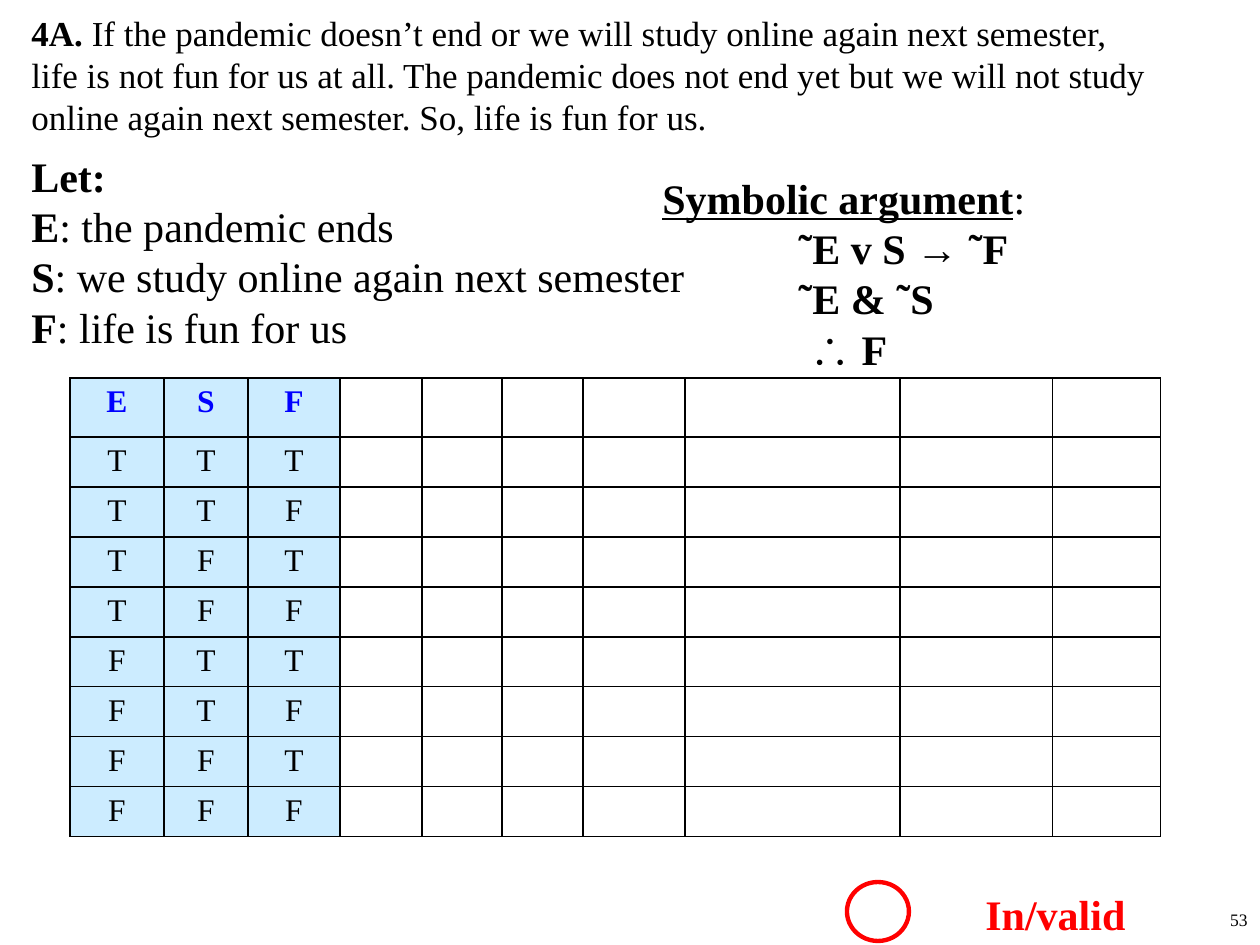
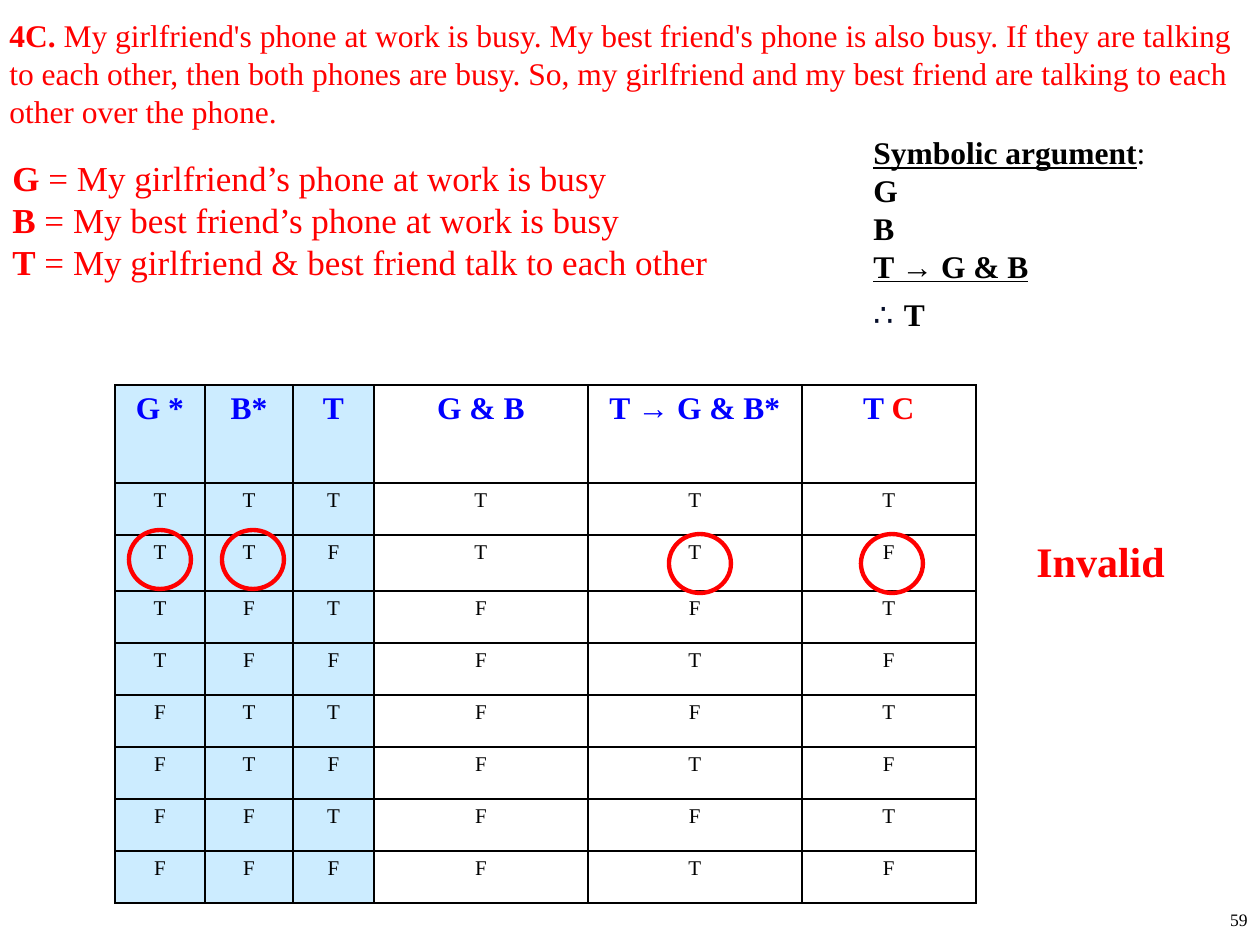
from itertools import product

from lxml import etree
from pptx import Presentation
from pptx import util as u
from pptx.dml.color import RGBColor
from pptx.enum import shapes, text
from pptx.oxml.ns import qn

PX = 7257  # EMU in one px, at 126 px to the inch
FONT = "Times New Roman"
BLACK, RED, BLUE, PALE_BLUE = "000000", "FF0000", "0000FF", "CCECFF"
colour = RGBColor.from_string


def add_runs(paragraph, runs, size, ink):
    """Each run is (text, flags) or (text, flags, overrides); flags are b and u."""
    for words, flags, *overrides in runs:
        style = {"size": size, "ink": ink, "font": FONT}
        for override in overrides:
            style.update(override)
        run = paragraph.add_run()
        run.text = words
        run.font.name = style["font"]
        run.font.size = u.Pt(style["size"])
        run.font.color.rgb = colour(style["ink"])
        run.font.bold = "b" in flags
        run.font.underline = "u" in flags


def add_text(slide, box, lines, size, ink=BLACK, align=text.PP_ALIGN.LEFT):
    """Each line is (indent in px, runs)."""
    frame = slide.shapes.add_textbox(*(length * PX for length in box)).text_frame
    frame.word_wrap = True
    for number, (indent, runs) in enumerate(lines):
        paragraph = frame.add_paragraph() if number else frame.paragraphs[0]
        paragraph.alignment = align
        if indent:
            properties = paragraph._p.get_or_add_pPr()
            properties.set("marL", str(indent * PX))
            properties.set("indent", "0")
        add_runs(paragraph, runs, size, ink)


presentation = Presentation()
presentation.slide_width = 1260 * PX
presentation.slide_height = 945 * PX
blank = presentation.slide_layouts[6]
pandemic = presentation.slides.add_slide(blank)
phone = presentation.slides.add_slide(blank)

# Truth tables
assignments = list(product("TF", repeat=3))
phone_rows = []
for g, b, t in assignments:
    both = "T" if g == b == "T" else "F"
    conditional = "F" if t == "T" and both == "F" else "T"
    phone_rows.append((g, b, t, both, conditional, t))

pandemic_headers = [[(letter, "b")] for letter in "ESF"]
phone_headers = [[(label, "b")] for label in ("G *", "B*", "T", "G & B", "T → G & B*")]
phone_headers.append([("T ", "b"), ("C", "b", {"ink": RED})])

truth_tables = [
    (pandemic, 70, 378, [94, 84, 92, 82, 80, 81, 102, 215, 153, 108],
     [59] + [50] * 8, pandemic_headers, assignments, 18),
    (phone, 115, 385, [90, 88, 81, 214, 214, 174],
     [98, 52, 56] + [52] * 6, phone_headers, phone_rows, 12),
]
for slide, left, top, widths, heights, headers, rows, size in truth_tables:
    table = slide.shapes.add_table(
        len(heights), len(widths), left * PX, top * PX,
        sum(widths) * PX, sum(heights) * PX).table
    table.first_row = table.horz_banding = False
    for column, width in zip(table.columns, widths):
        column.width = width * PX
    for row, height in zip(table.rows, heights):
        row.height = height * PX

    contents = [headers] + [[[(value, "")] for value in values] for values in rows]
    for row_number, column_number in product(range(len(heights)), range(len(widths))):
        cell = table.cell(row_number, column_number)
        for side in ("lnL", "lnR", "lnT", "lnB"):
            line = etree.SubElement(cell._tc.get_or_add_tcPr(), qn(f"a:{side}"), w="12700")
            fill = etree.SubElement(line, qn("a:solidFill"))
            etree.SubElement(fill, qn("a:srgbClr"), val=BLACK)
        if column_number < 3:
            cell.fill.solid()
            cell.fill.fore_color.rgb = colour(PALE_BLUE)
        else:
            cell.fill.background()
        if column_number < len(headers):
            paragraph = cell.text_frame.paragraphs[0]
            paragraph.alignment = text.PP_ALIGN.CENTER
            is_header = row_number == 0
            add_runs(paragraph, contents[row_number][column_number],
                     18 if is_header else size, BLUE if is_header else BLACK)
        else:
            cell.margin_top = cell.margin_bottom = 0

# Arguments in words
add_text(pandemic, (19, 5, 1153, 155), [(0, [
    ("4A.", "b"),
    (" If the pandemic doesn’t end or we will study online again next semester, "
     "life is not fun for us at all. The pandemic does not end yet but we will not "
     "study online again next semester. So, life is fun for us.", "")])], 20)
add_text(phone, (-35, 10, 1304, 103), [(32, [
    ("4C. ", "b"),
    ("My girlfriend's phone at work is busy. My best friend's phone is also busy. "
     "If they are talking to each other, then both phones are busy. So, my girlfriend "
     "and my best friend are talking to each other over the phone.", "")])], 18, RED)

# Meaning of the letters
add_text(pandemic, (19, 144, 697, 267), [
    (0, [("Let:", "b")]),
    (0, [("E", "b"), (": the pandemic ends", "")]),
    (0, [("S", "b"), (": we study online again next semester", "")]),
    (0, [("F", "b"), (": life is fun for us", "")]),
], 24)
add_text(phone, (0, 150, 862, 190), [
    (0, [("G", "b"), (" = My girlfriend’s phone at work is busy", "")]),
    (0, [("B", "b"), (" = My best friend’s phone at work is busy", "")]),
    (0, [("T", "b"), (" = My girlfriend & best friend talk to each other", "")]),
], 20, RED)

# Symbolic arguments
symbolic_heading = (0, [("Symbolic argument", "bu"), (":", "")])
add_text(pandemic, (650, 166, 629, 217), [
    symbolic_heading,
    (136, [("˜E v S → ˜F", "b")]),
    (136, [("˜E & ˜S", "b")]),
    (147, [("∴", ""), (" F", "b")]),
], 24)
add_text(phone, (861, 127, 388, 217), [
    symbolic_heading,
    (0, [("G", "b")]),
    (0, [("B", "b")]),
    (0, [("T → G & B", "bu")]),
    (0, [("∴", "", {"font": "Karla", "ink": "040C28"}), (" ", "b", {"size": 24}), ("T", "b")]),
], 18)

# Verdicts and page numbers
for slide, box, verdict, page in [
    (pandemic, (973, 882, 232, 63), "In/valid", "53"),
    (phone, (1024, 529, 198, 63), "Invalid", "59"),
]:
    add_text(slide, box, [(0, [(verdict, "b")])], 24, RED)
    add_text(slide, (998, 903, 262, 42), [(0, [(page, "")])], 10,
             align=text.PP_ALIGN.RIGHT)

# Circles round the deciding values
for slide, left, top in [
    (pandemic, 847, 882),
    (phone, 129, 530), (phone, 222, 530), (phone, 669, 534), (phone, 861, 534),
]:
    circle = slide.shapes.add_shape(
        shapes.MSO_SHAPE.OVAL, left * PX, top * PX, 62 * PX, 59 * PX)
    circle.shadow.inherit = False
    circle.fill.background()
    circle.line.color.rgb = colour(RED)
    circle.line.width = u.Pt(2.5)

presentation.save("out.pptx")
